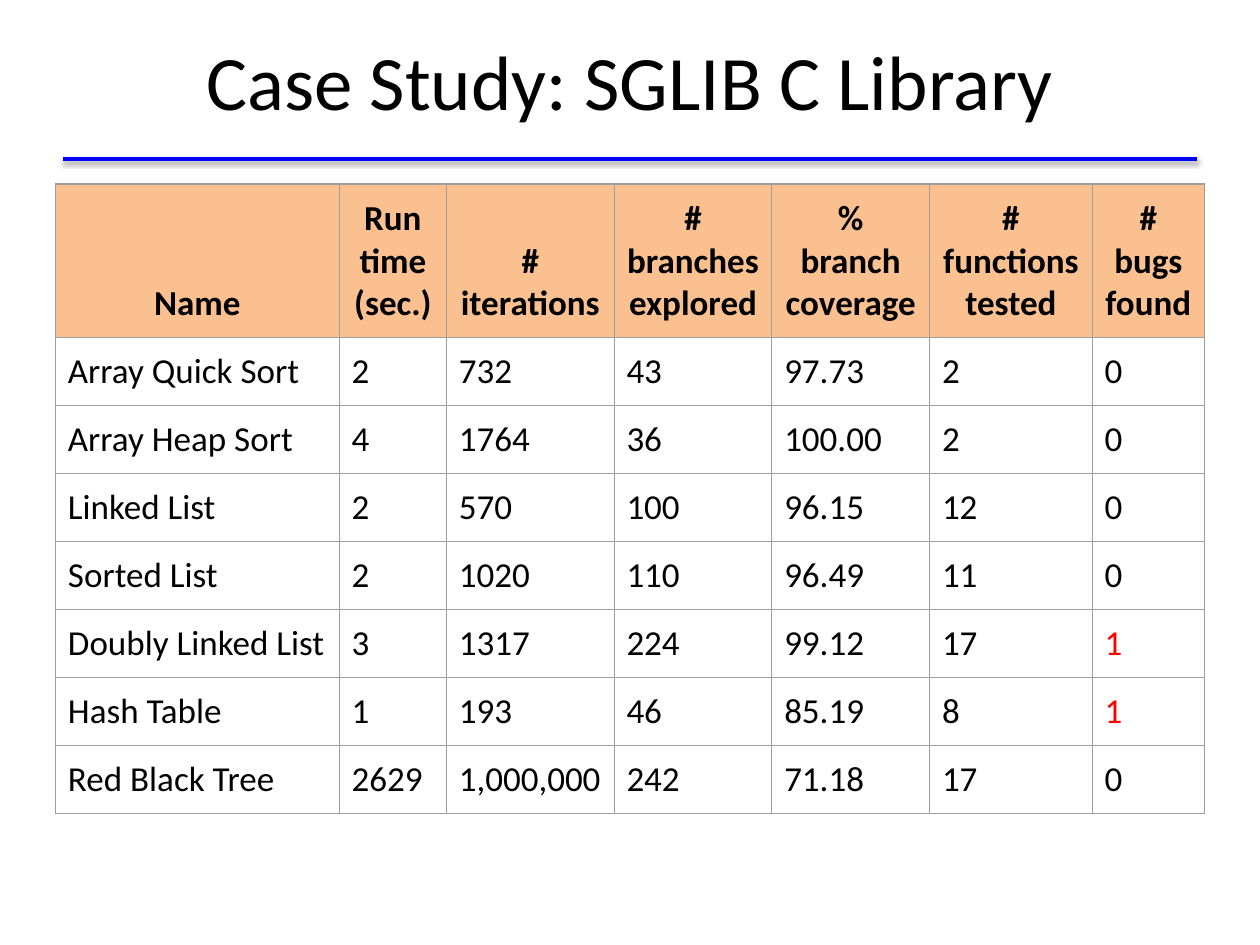
from lxml import etree
from pptx import Presentation
from pptx.dml.color import RGBColor
from pptx.enum import shapes, text
from pptx.oxml import parse_xml
from pptx.oxml.ns import nsdecls
from pptx import util as u

TITLE = "Case Study: SGLIB C Library"
HEADINGS = ["Name", "Run time (sec.)", "# iterations", "# branches explored",
            "% branch coverage", "# functions tested", "# bugs found"]
RESULTS = [
    ["Array Quick Sort", "2", "732", "43", "97.73", "2", "0"],
    ["Array Heap Sort", "4", "1764", "36", "100.00", "2", "0"],
    ["Linked List", "2", "570", "100", "96.15", "12", "0"],
    ["Sorted List", "2", "1020", "110", "96.49", "11", "0"],
    ["Doubly Linked List", "3", "1317", "224", "99.12", "17", "1"],
    ["Hash Table", "1", "193", "46", "85.19", "8", "1"],
    ["Red Black Tree", "2629", "1,000,000", "242", "71.18", "17", "0"],
]
COLUMN_WIDTHS = [5.72, 2.16, 3.38, 3.18, 3.18, 3.28, 2.26]
HEADING_HEIGHT, RESULT_HEIGHT = 3.1, 1.37
INSET = 0.25
BUGS = HEADINGS.index("# bugs found")

THEME = {
    "font": "Calibri", "title size": 44, "table size": 20,
    "ink": "000000", "rule": "0000FF", "heading": "FAC090",
    "bug": "FF0000", "border": "9E9E9E",
}


def color(role):
    return RGBColor.from_string(THEME[role])


def style(paragraph, size, ink="ink", bold=False, align=text.PP_ALIGN.LEFT):
    paragraph.alignment = align
    font = paragraph.font
    font.name, font.size, font.bold = THEME["font"], u.Pt(THEME[size]), bold
    font.color.rgb = color(ink)


def set_insets(holder):
    for side in ("left", "right", "top", "bottom"):
        setattr(holder, f"margin_{side}", u.Cm(INSET))


def add_borders(cell):
    properties = cell._tc.get_or_add_tcPr()
    for position, side in enumerate("LRTB"):
        properties.insert(position, parse_xml(
            f'<a:ln{side} {nsdecls("a")} w="{u.Pt(0.75)}"><a:solidFill>'
            f'<a:srgbClr val="{THEME["border"]}"/></a:solidFill></a:ln{side}>'))


def add_rule(slide):
    rule = slide.shapes.add_connector(
        shapes.MSO_CONNECTOR.STRAIGHT, u.Cm(1.27), u.Cm(3.2), u.Cm(24.13), u.Cm(3.2))
    rule.line.color.rgb = color("rule")
    rule.line.width = u.Pt(2)
    effects = etree.SubElement(rule._element.spPr, "{%s}effectLst" % rule._element.nsmap["a"])
    effects.append(parse_xml(
        f'<a:outerShdw {nsdecls("a")} blurRad="{u.Pt(3.1)}" dist="{u.Pt(1.6)}" '
        'dir="5400000" rotWithShape="0"><a:srgbClr val="000000">'
        '<a:alpha val="38000"/></a:srgbClr></a:outerShdw>'))


def add_title(slide):
    frame = slide.shapes.add_textbox(u.Cm(1.27), u.Cm(0.03), u.Cm(22.86), u.Cm(3.17)).text_frame
    frame.word_wrap = True
    frame.vertical_anchor = text.MSO_ANCHOR.MIDDLE
    set_insets(frame)
    frame.text = TITLE
    style(frame.paragraphs[0], "title size", align=text.PP_ALIGN.CENTER)


def add_results(slide):
    heights = [HEADING_HEIGHT] + [RESULT_HEIGHT] * len(RESULTS)
    table = slide.shapes.add_table(
        len(heights), len(HEADINGS), u.Cm(1.12), u.Cm(3.71),
        u.Cm(sum(COLUMN_WIDTHS)), u.Cm(sum(heights))).table
    table.first_row = table.horz_banding = False
    for column, width in zip(table.columns, COLUMN_WIDTHS):
        column.width = u.Cm(width)
    for row, height in zip(table.rows, heights):
        row.height = u.Cm(height)
    for r, values in enumerate([HEADINGS] + RESULTS):
        for c, value in enumerate(values):
            cell = table.cell(r, c)
            cell.text = value
            set_insets(cell)
            paragraph = cell.text_frame.paragraphs[0]
            if r == 0:
                cell.fill.solid()
                cell.fill.fore_color.rgb = color("heading")
                cell.vertical_anchor = text.MSO_ANCHOR.BOTTOM
                style(paragraph, "table size", bold=True, align=text.PP_ALIGN.CENTER)
            else:
                cell.fill.background()
                found = c == BUGS and value != "0"
                style(paragraph, "table size", "bug" if found else "ink")
            add_borders(cell)


def main():
    """Build the case study slide with its table of test results."""
    deck = Presentation()
    deck.slide_width, deck.slide_height = u.Cm(25.4), u.Cm(19.05)
    slide = deck.slides.add_slide(deck.slide_layouts[6])
    add_rule(slide)
    add_title(slide)
    add_results(slide)
    deck.save("out.pptx")


if __name__ == "__main__":
    main()
